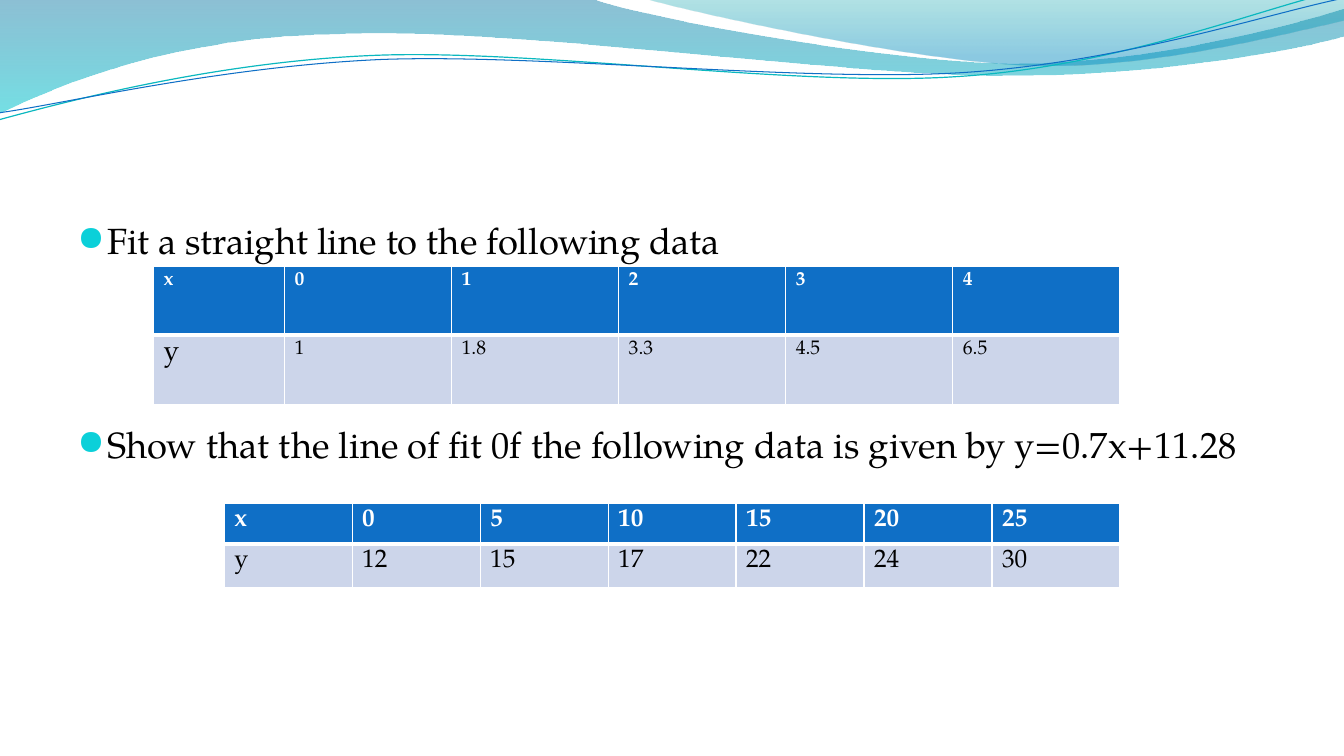
from lxml import etree
from pptx import Presentation
from pptx.dml.color import RGBColor
from pptx.oxml.ns import qn
from pptx.util import Cm, Pt

FONT, BULLET_FONT = "TeX Gyre Pagella", "OpenSymbol"
BLACK, WHITE = "000000", "FFFFFF"
HEADER_BLUE, ROW_BLUE, BULLET_CYAN = "0F6FC6", "CCD5EA", "0BD0D9"
FILL_ANGLE = 270  # top to bottom

# Outlines in cm: a start point, then segments of one point (straight)
# or three points (Bezier curve).
BROAD_WAVE = (
    (0, 0),
    [(14.91, -0.03)],
    [(16.1, 0.43), (22.48, 1.6), (25.68, 1.6)],
    [(28.91, 1.6), (32.46, 0.66), (33.86, 0.23)],
    [(33.91, 0.91)],
    [(33.3, 1.12), (29.46, 1.93), (25.25, 1.91)],
    [(21.06, 1.91), (12.93, 0.71), (8.71, 0.86)],
    [(4.37, 0.91), (1.55, 2.11), (-0.03, 2.87)],
)
RIGHT_WAVE = (
    (16.23, -0.03),
    [(17.25, 0.28), (23.09, 1.57), (26.04, 1.65)],
    [(28.98, 1.75), (32.56, 0.81), (33.86, 0.53)],
    [(33.86, 0)],
)
TEAL_STRAND = (
    (-0.03, 3.02),
    [(1.63, 2.57), (5.36, 1.57), (9.37, 1.4)],
    [(13.39, 1.22), (20.07, 2.21), (24.13, 1.93)],
    [(28.19, 1.68), (31.8, 0.2), (33.81, -0.25)],
)
BLUE_STRAND = (
    (0, 2.84),
    [(1.6, 2.62), (5.54, 1.68), (9.6, 1.5)],
    [(13.64, 1.35), (20.22, 2.08), (24.26, 1.83)],
    [(28.32, 1.57), (31.88, 0.36), (33.88, -0.05)],
)


def rgb(hex_color):
    return RGBColor.from_string(hex_color)


def bend_segments(shape, segments):
    """Turn each run of three straight steps of a curve into one Bezier."""
    steps = iter(list(shape.element.iter(qn("a:lnTo"))))
    for segment in segments:
        first, *others = [next(steps) for _ in segment]
        if others:
            curve = etree.Element(qn("a:cubicBezTo"))
            first.addprevious(curve)
            for step in (first, *others):
                curve.append(step[0])
                step.getparent().remove(step)


def add_outline(slide, outline, close):
    start, *segments = outline
    points = [start] + [point for segment in segments for point in segment]
    first, *rest = [(Cm(x), Cm(y)) for x, y in points]
    builder = slide.shapes.build_freeform(*first)
    builder.add_line_segments(rest, close=close)
    shape = builder.convert_to_shape()
    bend_segments(shape, segments)
    shape.shadow.inherit = False
    return shape


def add_wave(slide, outline, stops):
    """Add a filled wave; each stop is (position, colour, opacity percent)."""
    wave = add_outline(slide, outline, True)
    wave.line.fill.background()
    wave.fill.gradient()
    wave.fill.gradient_angle = FILL_ANGLE
    for stop, (position, color, _) in zip(wave.fill.gradient_stops, stops):
        stop.position = position
        stop.color.rgb = rgb(color)
    color_tags = wave.element.spPr.find(qn("a:gradFill")).iter(qn("a:srgbClr"))
    for tag, (_, _, opacity) in zip(list(color_tags), stops):
        etree.SubElement(tag, qn("a:alpha"), val=str(opacity * 1000))


def add_strand(slide, outline, color, width):
    strand = add_outline(slide, outline, False)
    strand.fill.background()
    strand.line.color.rgb = rgb(color)
    strand.line.width = Pt(width)


def add_run(paragraph, text, size, color=BLACK, bold=False):
    run = paragraph.add_run()
    run.text = text
    run.font.name = FONT
    run.font.size = Pt(size)
    run.font.bold = bold
    run.font.color.rgb = rgb(color)


def set_bullet(paragraph):
    properties = paragraph._p.get_or_add_pPr()
    properties.set("marL", str(Cm(0.76)))
    properties.set("indent", str(-Cm(0.76)))
    bullet_color = etree.SubElement(properties, qn("a:buClr"))
    etree.SubElement(bullet_color, qn("a:srgbClr"), val=BULLET_CYAN)
    etree.SubElement(properties, qn("a:buSzPct"), val="95000")
    etree.SubElement(properties, qn("a:buFont"), typeface=BULLET_FONT)
    etree.SubElement(properties, qn("a:buChar"), char="●")


def add_tasks(slide, tasks):
    """Add bulleted tasks, each given as (text, points of space before)."""
    box = slide.shapes.add_textbox(Cm(1.7), Cm(5.38), Cm(30.48), Cm(12.19))
    frame = box.text_frame
    frame.word_wrap = True
    for index, (text, space) in enumerate(tasks):
        paragraph = frame.add_paragraph() if index else frame.paragraphs[0]
        paragraph.space_before = Pt(space)
        set_bullet(paragraph)
        add_run(paragraph, text, 26)


def set_borders(cell, bottom_width):
    properties = cell._tc.get_or_add_tcPr()
    sides = (("L", 1), ("R", 1), ("T", 1), ("B", bottom_width))
    for index, (side, width) in enumerate(sides):
        border = etree.Element(qn(f"a:ln{side}"), w=str(Pt(width)))
        fill = etree.SubElement(border, qn("a:solidFill"))
        etree.SubElement(fill, qn("a:srgbClr"), val=WHITE)
        properties.insert(index, border)


def add_data_table(slide, left, top, widths, heights, data, size, y_label_size):
    """Add a table of x over y, with lengths in cm."""
    frame = slide.shapes.add_table(len(data), len(widths), Cm(left), Cm(top),
                                   Cm(sum(widths)), Cm(sum(heights)))
    table = frame.table
    table.horz_banding = False
    for column, width in zip(table.columns, widths):
        column.width = Cm(width)
    for row_index, (row, height) in enumerate(zip(table.rows, heights)):
        row.height = Cm(height)
        header = row_index == 0
        for column_index, (cell, value) in enumerate(zip(row.cells, data[row_index])):
            set_borders(cell, 3 if header else 1)
            cell.fill.solid()
            cell.fill.fore_color.rgb = rgb(HEADER_BLUE if header else ROW_BLUE)
            is_y_label = not header and column_index == 0
            add_run(cell.text_frame.paragraphs[0], value,
                    y_label_size if is_y_label else size,
                    WHITE if header else BLACK, header)


def main():
    deck = Presentation()
    deck.slide_width, deck.slide_height = Cm(33.87), Cm(19.05)
    slide = deck.slides.add_slide(deck.slide_layouts[6])

    add_wave(slide, BROAD_WAVE, [(0, "0074A1", 45), (1, "00C6CF", 55)])
    add_wave(slide, RIGHT_WAVE, [(0, "00A1A9", 30), (0.8, "008BBF", 45)])
    add_strand(slide, TEAL_STRAND, "0AB8BF", 0.85)
    add_strand(slide, BLUE_STRAND, HEADER_BLUE, 0.75)

    add_tasks(slide, [
        ("Fit a straight line to the following data", 5.2),
        ("Show that the line of fit 0f the following data is given by "
         "y=0.7x+11.28", 114.5),
    ])
    add_data_table(slide, 3.87, 6.71, [3.3] + [4.21] * 5, [1.74, 1.74],
                   [["x", "0", "1", "2", "3", "4"],
                    ["y", "1", "1.8", "3.3", "4.5", "6.5"]], 14, 20)
    add_data_table(slide, 5.65, 12.69, [22.58 / 7] * 7, [0.86, 1.11],
                   [["x", "0", "5", "10", "15", "20", "25"],
                    ["y", "12", "15", "17", "22", "24", "30"]], 18, 18)
    deck.save("out.pptx")


if __name__ == "__main__":
    main()
